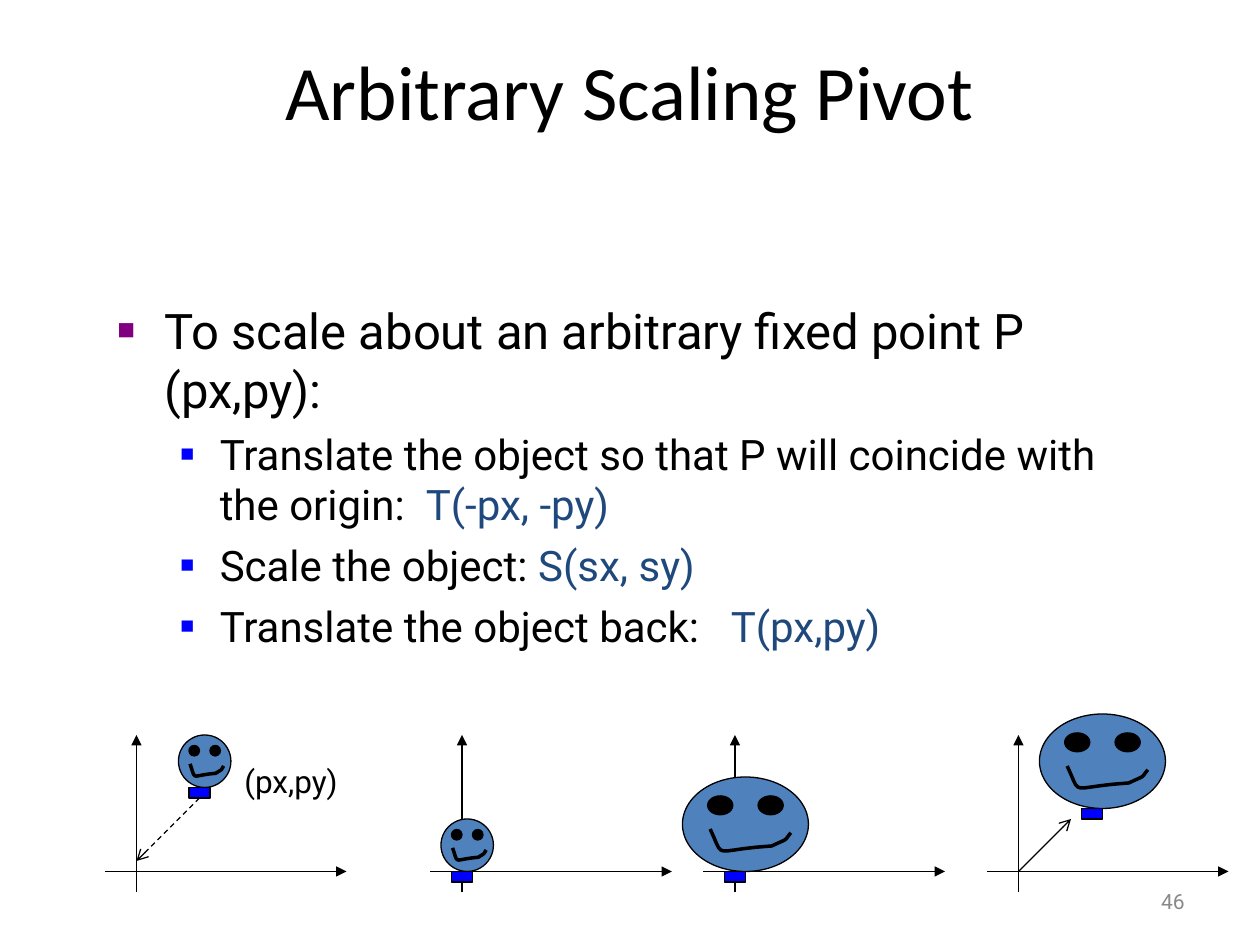
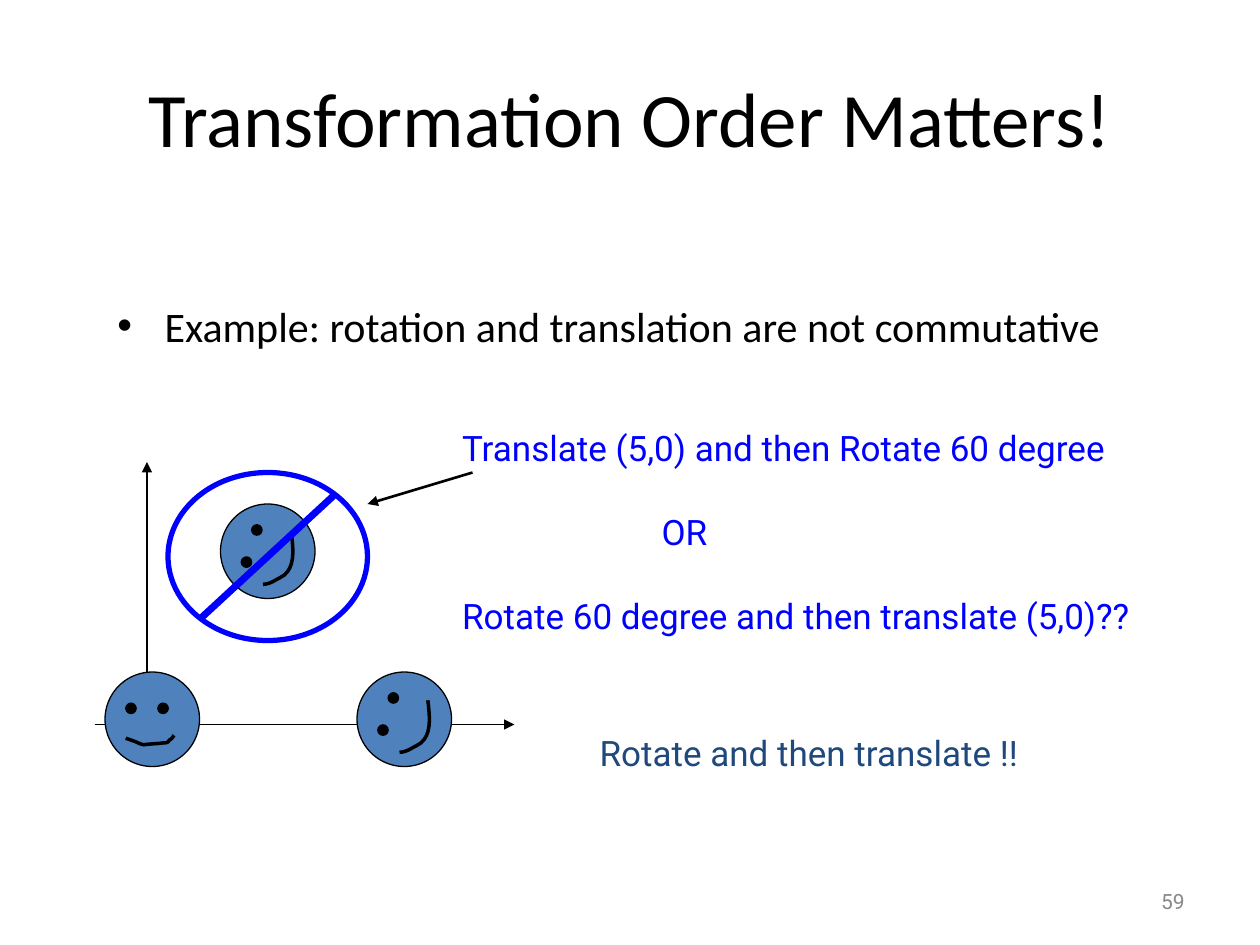
from lxml import etree
from pptx import Presentation
from pptx.dml.color import RGBColor
from pptx.enum.dml import MSO_LINE
from pptx.enum.shapes import MSO_CONNECTOR, MSO_SHAPE
from pptx.enum.text import MSO_ANCHOR, PP_ALIGN
from pptx.oxml.ns import qn
from pptx.util import Pt

OVAL, RECT = MSO_SHAPE.OVAL, MSO_SHAPE.RECTANGLE
STRAIGHT = MSO_CONNECTOR.STRAIGHT
DASH = MSO_LINE.DASH
TOP, MIDDLE = MSO_ANCHOR.TOP, MSO_ANCHOR.MIDDLE
LEFT, CENTER, RIGHT = PP_ALIGN.LEFT, PP_ALIGN.CENTER, PP_ALIGN.RIGHT

BLACK, GRAY, PURPLE = "000000", "898989", "800080"
BLUE, NAVY, FACE = "0000FF", "1F497D", "4F81BD"
TITLE_FONT, BODY_FONT = "Calibri", "Roboto"

# Faces as fractions of their box: eye size, eye corners, Bezier mouth points
GRIN = (0.2, [(0.2, 0.2), (0.6, 0.2)],
        [(0.22, 0.55), (0.34, 0.89), (0.22, 0.77), (0.71, 0.73),
         (0.85, 0.64), (0.8, 0.69), (0.86, 0.59)])
UPRIGHT = (0.11, [(0.22, 0.33), (0.56, 0.33)],
           [(0.22, 0.7), (0.27, 0.72), (0.31, 0.73), (0.35, 0.75),
            (0.37, 0.76), (0.41, 0.77), (0.41, 0.77),
            (0.48, 0.76), (0.55, 0.76), (0.62, 0.75),
            (0.64, 0.75), (0.67, 0.75), (0.68, 0.72),
            (0.71, 0.71), (0.73, 0.67), (0.73, 0.67)])
TILTED = (0.11, [(0.22, 0.56), (0.33, 0.22)],
          [(0.75, 0.3), (0.77, 0.48), (0.8, 0.7), (0.63, 0.78),
           (0.57, 0.81), (0.52, 0.85), (0.45, 0.85)])


def rgb(value):
    return RGBColor.from_string(value)


# Basic parts
def add_run(p, text, size, color=BLACK, font=BODY_FONT, spacing=0):
    r = p.add_run()
    r.text = text
    r.font.size, r.font.name = Pt(size), font
    r.font.color.rgb = rgb(color)
    if spacing:
        r._r.get_or_add_rPr().set("spc", str(spacing * 100))


def add_box(s, x, y, w, h, anchor=TOP, wrap=True):
    tf = s.shapes.add_textbox(Pt(x), Pt(y), Pt(w), Pt(h)).text_frame
    tf.word_wrap = wrap
    tf.vertical_anchor = anchor
    return tf


def add_label(s, x, y, w, h, text, size, color=BLACK, font=BODY_FONT,
              align=LEFT, anchor=TOP, wrap=False):
    p = add_box(s, x, y, w, h, anchor, wrap).paragraphs[0]
    p.alignment = align
    add_run(p, text, size, color, font)


def set_bullet(p, char, color, percent, left, hanging):
    pPr = p._p.get_or_add_pPr()
    pPr.set("marL", str(Pt(left)))
    pPr.set("indent", str(-Pt(hanging)))
    clr = etree.SubElement(pPr, qn("a:buClr"))
    etree.SubElement(clr, qn("a:srgbClr"), val=color)
    etree.SubElement(pPr, qn("a:buSzPct"), val=str(percent * 1000))
    etree.SubElement(pPr, qn("a:buFont"), typeface="Arial")
    etree.SubElement(pPr, qn("a:buChar"), char=char)


def add_figure(s, kind, x, y, w, h, fill=None, line=BLACK, width=0.75):
    sp = s.shapes.add_shape(kind, Pt(x), Pt(y), Pt(w), Pt(h))
    sp.shadow.inherit = False
    if fill:
        sp.fill.solid()
        sp.fill.fore_color.rgb = rgb(fill)
    else:
        sp.fill.background()
    sp.line.color.rgb = rgb(line)
    sp.line.width = Pt(width)


def add_line(s, x1, y1, x2, y2, color=BLACK, width=0.75, head=None, dash=None):
    c = s.shapes.add_connector(STRAIGHT, Pt(x1), Pt(y1), Pt(x2), Pt(y2))
    c.line.color.rgb = rgb(color)
    c.line.width = Pt(width)
    if dash:
        c.line.dash_style = dash
    if head:
        etree.SubElement(c.line._get_or_add_ln(), qn("a:tailEnd"), type=head)
    etree.SubElement(c._element.spPr, qn("a:effectLst"))


def bezier_points(points, steps=10):
    """Sample a chain of cubic curves that share their end points."""
    samples = [points[0]]
    for i in range(0, len(points) - 1, 3):
        curve = points[i:i + 4]
        for k in range(1, steps + 1):
            t = k / steps
            weights = ((1 - t) ** 3, 3 * t * (1 - t) ** 2,
                       3 * t ** 2 * (1 - t), t ** 3)
            samples.append(tuple(sum(b * pt[axis] for b, pt in zip(weights, curve))
                                 for axis in (0, 1)))
    return samples


def add_face(s, x, y, w, h, look):
    eye, eyes, mouth = look
    add_figure(s, OVAL, x, y, w, h, FACE)
    for ex, ey in eyes:
        add_figure(s, OVAL, x + ex * w, y + ey * h, eye * w, eye * h, BLACK)
    pts = [(Pt(x + fx * w), Pt(y + fy * h)) for fx, fy in bezier_points(mouth)]
    builder = s.shapes.build_freeform(*pts[0])
    builder.add_line_segments(pts[1:], close=False)
    sp = builder.convert_to_shape()
    sp.shadow.inherit = False
    sp.fill.background()
    sp.line.color.rgb = rgb(BLACK)
    sp.line.width = Pt(2)


def add_axes(s, ox, oy, left, right, below, above):
    add_line(s, ox - left, oy, ox + right, oy, head="triangle")
    add_line(s, ox, oy + below, ox, oy - above, head="triangle")


def start_slide(prs, title, number, anchor):
    s = prs.slides.add_slide(prs.slide_layouts[6])
    add_label(s, 36, 21.6, 648, 90, title, 44, font=TITLE_FONT,
              align=CENTER, anchor=anchor, wrap=True)
    add_label(s, 516, 500.5, 168, 28.8, number, 12, GRAY,
              align=RIGHT, anchor=MIDDLE, wrap=True)
    return s


# Scaling slide
def scaling_steps(s, x, y, w, h):
    tf = add_box(s, x, y, w, h)
    p = tf.paragraphs[0]
    set_bullet(p, "■", PURPLE, 60, 27, 27)
    add_run(p, "To scale about an arbitrary fixed point P (px,py):", 28)
    steps = [
        ("Translate the object so that P will coincide with the origin:",
         "T(-px, -py)", 6),
        ("Scale the object:", "S(sx, sy)", 0),
        ("Translate the object back:", "T(px,py)", 12),
    ]
    for text, matrix, gap in steps:
        p = tf.add_paragraph()
        p.level = 1
        p.space_before = Pt(6)
        set_bullet(p, "■", BLUE, 55, 58.5, 22.5)
        add_run(p, text, 24)
        add_run(p, " ", 24, spacing=gap)
        add_run(p, matrix, 24, NAVY)


def scaling_panel(s, ox, oy, face_dx, foot_dx, base_dy, w, h):
    """Axes at (ox, oy) with a face standing on its pivot block."""
    add_axes(s, ox, oy, 18, 120, 12, 78)
    base = oy + base_dy
    add_face(s, ox + face_dx, base - h, w, h, GRIN)
    add_figure(s, RECT, ox + foot_dx, base, 12, 6, BLUE)


def scaling_slide(prs):
    s = start_slide(prs, "Arbitrary Scaling Pivot", "46", TOP)
    scaling_steps(s, 60, 168, 612, 324)
    oy, first, last = 498, 78, 582
    small, large = (30, 30), (72, 54)
    for ox, face_dx, foot_dx, base_dy, size in [
            (first, 24, 30, -48, small), (264, -12, -6, 0, small),
            (420, -30, -6, 0, large), (last, 12, 36, -36, large)]:
        scaling_panel(s, ox, oy, face_dx, foot_dx, base_dy, *size)
    # Moves to the origin and back
    add_label(s, first + 54.5, oy - 66, 70.5, 29, "(px,py)", 18)
    add_line(s, first + 36, oy - 42, first, oy - 6, head="arrow", dash=DASH)
    add_line(s, last, oy, last + 30, oy - 30, head="arrow")


# Order slide
def order_question(s, x, y, w, h):
    tf = add_box(s, x, y, w, h, wrap=False)
    lines = [("Translate (5,0) and then Rotate 60 degree", 0), ("OR", 114),
             ("Rotate 60 degree and then translate (5,0)??", 0)]
    for i, (text, indent) in enumerate(lines):
        p = tf.add_paragraph() if i else tf.paragraphs[0]
        if i:
            p.space_before = Pt(24)
        if indent:
            p._p.get_or_add_pPr().set("marL", str(Pt(indent)))
        add_run(p, text, 20, BLUE)


def order_diagram(s, ox, oy):
    add_axes(s, ox, oy, 30, 210, 24, 150)
    for dx, dy, look in [(-24, -30, UPRIGHT), (120, -30, TILTED),
                         (42, -126, TILTED)]:
        add_face(s, ox + dx, oy + dy, 54, 54, look)
    # Crossed-out result and its pointer
    add_line(s, ox + 108, oy - 132, ox + 30, oy - 60, BLUE, 4)
    add_figure(s, OVAL, ox + 12, oy - 144, 114, 96, line=BLUE, width=3)
    add_line(s, ox + 186, oy - 144, ox + 126, oy - 126, width=1.5, head="triangle")


def order_slide(prs):
    s = start_slide(prs, "Transformation Order Matters!", "59", MIDDLE)
    p = add_box(s, 60, 168, 612, 324).paragraphs[0]
    set_bullet(p, "•", BLACK, 100, 27, 27)
    add_run(p, "Example: rotation and translation are not commutative", 24,
            font=TITLE_FONT)
    order_diagram(s, 84, 414)
    order_question(s, 257, 240, 417.5, 127.5)
    add_label(s, 335.5, 414.5, 276, 31.5, "Rotate and then translate !!", 20, NAVY)


def main():
    prs = Presentation()
    prs.slide_width, prs.slide_height = Pt(720), Pt(540)
    scaling_slide(prs)
    order_slide(prs)
    prs.save("out.pptx")


if __name__ == "__main__":
    main()
